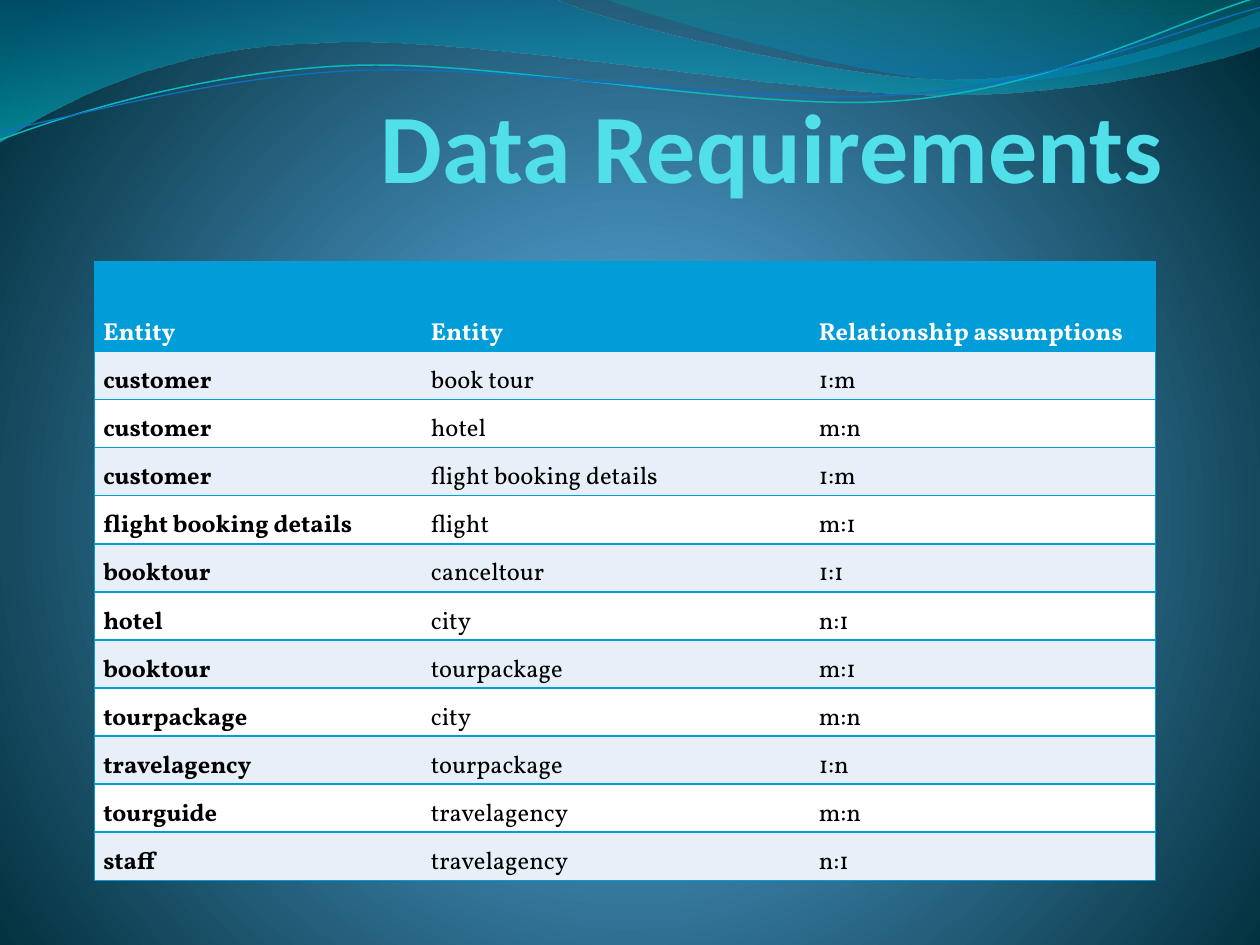
import math

import pptx
import pptx.util
from lxml import etree
from pptx.dml.color import RGBColor
from pptx.enum.text import MSO_ANCHOR, PP_ALIGN
from pptx.oxml.ns import qn
from pptx.util import Inches, Pt

BLUE = RGBColor(0x00, 0x9D, 0xD9)
PALE = RGBColor(0xE7, 0xEF, 0xF8)
WHITE = RGBColor(0xFF, 0xFF, 0xFF)
BLACK = RGBColor(0x00, 0x00, 0x00)
CYAN = RGBColor(0x51, 0xE0, 0xEA)
TEAL = RGBColor(0x0A, 0xB8, 0xBF)
ROYAL = RGBColor(0x0F, 0x6F, 0xC6)

HEAD = ("Entity", "Entity", "Relationship assumptions")
ROWS = [
    ("customer", "book tour", "1:m"),
    ("customer", "hotel", "m:n"),
    ("customer", "flight booking details", "1:m"),
    ("flight booking details", "flight", "m:1"),
    ("booktour", "canceltour", "1:1"),
    ("hotel", "city", "n:1"),
    ("booktour", "tourpackage", "m:1"),
    ("tourpackage", "city", "m:n"),
    ("travelagency", "tourpackage", "1:n"),
    ("tourguide", "travelagency", "m:n"),
    ("staff", "travelagency", "n:1"),
]
COLS = (2.6, 3.08, 2.74)
HEAD_H, TABLE_H = 0.71, 4.91

# Gradient stops: position %, colour, opacity %
BACK = [(0, "4AA0D6", 100), (25, "4C98C7", 100), (100, "002C38", 100)]
# Each path is a start point, then steps: 2 numbers for a line, 6 for a curve
BANDS = [
    ([(0, 0), (4.4, -0.01), (4.76, 0.17, 6.64, 0.63, 7.58, 0.63),
      (8.53, 0.63, 9.58, 0.26, 10, 0.09), (10.01, 0.36),
      (9.83, 0.44, 8.7, 0.76, 7.46, 0.75), (6.22, 0.75, 3.82, 0.28, 2.57, 0.34),
      (1.29, 0.36, 0.46, 0.83, -0.01, 1.13)],
     [(0, "0074A1", 45), (100, "00C6CF", 55)]),
    ([(4.79, -0.01), (5.09, 0.11, 6.82, 0.62, 7.69, 0.65),
      (8.56, 0.69, 9.61, 0.32, 10, 0.21), (10, 0)],
     [(0, "00A1A9", 30), (80, "008BBF", 45)]),
]
# Path as it lies on the slide, middle of its frame, colour, width
LINES = [
    ([(0, 1.11), (0.48, 0.93, 1.58, 0.57, 2.77, 0.52),
      (3.95, 0.47, 5.93, 0.89, 7.13, 0.8), (8.33, 0.71, 9.38, 0.15, 9.98, -0.02)],
     (4.99, 0.58), TEAL, 0.85),
    ([(0, 1.04), (0.47, 0.96, 1.64, 0.61, 2.83, 0.56),
      (4.03, 0.51, 5.97, 0.84, 7.17, 0.75), (8.36, 0.67, 9.41, 0.21, 10, 0.06)],
     (5, 0.59), ROYAL, 0.75),
]
TILT = 357.3


def write(frame, text, size, font, color, bold=False, align=PP_ALIGN.LEFT, space=1.0):
    para = frame.paragraphs[0]
    para.alignment, para.line_spacing = align, space
    run = para.add_run()
    run.text = text
    run.font.size, run.font.name, run.font.bold = Pt(size), font, bold
    run.font.color.rgb = color


def sub(node, tag, **attrs):
    return etree.SubElement(node, qn(tag), {k: str(v) for k, v in attrs.items()})


def shade(fill, root, stops, circle=False):
    """Give the fill found under root a gradient with per-stop opacity."""
    fill.gradient()
    grad = next(root.iter(qn("a:gradFill")))
    for child in list(grad):
        grad.remove(child)
    group = sub(grad, "a:gsLst")
    for pos, color, alpha in stops:
        stop = sub(group, "a:gs", pos=pos * 1000)
        tint = sub(stop, "a:srgbClr", val=color)
        if alpha < 100:
            sub(tint, "a:alpha", val=alpha * 1000)
    if circle:
        way = sub(grad, "a:path", path="circle")
        sub(way, "a:fillToRect", l=10000, t=110000, r=10000, b=100000)
    else:
        sub(grad, "a:lin", ang=5400000, scaled=0)


def turn(path, mid, angle):
    """Rotate every point of a path clockwise about mid."""
    cos, sin = math.cos(math.radians(angle)), math.sin(math.radians(angle))
    turned = []
    for part in path:
        step = []
        for x, y in zip(part[::2], part[1::2]):
            dx, dy = x - mid[0], y - mid[1]
            step += [mid[0] + dx * cos - dy * sin, mid[1] + dx * sin + dy * cos]
        turned.append(step)
    return turned


def wave(shapes, path, close):
    """Build a freeform, joining the three points of each curve into a Bezier."""
    points = [(Inches(x), Inches(y)) for part in path
              for x, y in zip(part[::2], part[1::2])]
    form = shapes.build_freeform(*points[0], scale=1.0)
    form.add_line_segments(points[1:], close=close)
    shape = form.convert_to_shape()
    shape.shadow.inherit = False
    legs = iter(list(shape.element.iter(qn("a:lnTo"))))
    for part in path[1:]:
        leg = next(legs)
        if len(part) == 6:
            curve = etree.Element(qn("a:cubicBezTo"))
            leg.addprevious(curve)
            for old in (leg, next(legs), next(legs)):
                curve.append(old[0])
                old.getparent().remove(old)
    return shape


def edge(cell, first, last):
    props = cell._tc.get_or_add_tcPr()
    shown = {"a:lnL": first, "a:lnR": last, "a:lnT": True, "a:lnB": True}
    for tag, show in shown.items():
        line = sub(props, tag, w=Pt(1))
        if show:
            sub(sub(line, "a:solidFill"), "a:srgbClr", val=BLUE)
        else:
            sub(line, "a:noFill")


def fill_table(shapes):
    data = [HEAD] + ROWS
    grid = shapes.add_table(len(data), len(COLS), Inches(0.75), Inches(2.08),
                            Inches(sum(COLS)), Inches(TABLE_H)).table
    for col, width in zip(grid.columns, COLS):
        col.width = Inches(width)
    for r, texts in enumerate(data):
        grid.rows[r].height = Inches(HEAD_H if r == 0 else (TABLE_H - HEAD_H) / len(ROWS))
        for c, text in enumerate(texts):
            cell = grid.cell(r, c)
            edge(cell, c == 0, c == len(COLS) - 1)
            cell.fill.solid()
            cell.fill.fore_color.rgb = BLUE if r == 0 else PALE if r % 2 else WHITE
            cell.margin_left = cell.margin_right = Inches(0.07)
            cell.margin_top = cell.margin_bottom = 0
            cell.vertical_anchor = MSO_ANCHOR.BOTTOM
            write(cell.text_frame, text, 14, "Vollkorn", BLACK if r else WHITE,
                  bold=r == 0 or c == 0, space=1.07)


def main():
    deck = pptx.Presentation()
    deck.slide_width, deck.slide_height = Inches(10), Inches(7.5)
    slide = deck.slides.add_slide(deck.slide_layouts[5])
    shapes = slide.shapes
    shade(slide.background.fill, slide.element, BACK, circle=True)

    for path, stops in BANDS:
        band = wave(shapes, path, True)
        shade(band.fill, band.element, stops)
        band.line.fill.background()
    for path, mid, color, width in LINES:
        line = wave(shapes, turn(path, mid, -TILT), False)
        line.rotation = TILT
        line.fill.background()
        line.line.color.rgb, line.line.width = color, Pt(width)

    title = shapes.title
    title.element.getparent().append(title.element)  # in front of the waves
    title.left, title.top = Inches(0.75), 0
    title.width, title.height = Inches(8.5), Inches(1.61)
    frame = title.text_frame
    frame.word_wrap, frame.vertical_anchor = True, MSO_ANCHOR.BOTTOM
    frame.margin_left = frame.margin_top = frame.margin_bottom = 0
    frame.margin_right = Inches(0.02)
    write(frame, "Data Requirements", 56, "Calibri", CYAN, bold=True, align=PP_ALIGN.RIGHT)

    fill_table(shapes)
    deck.save("out.pptx")


if __name__ == "__main__":
    main()
